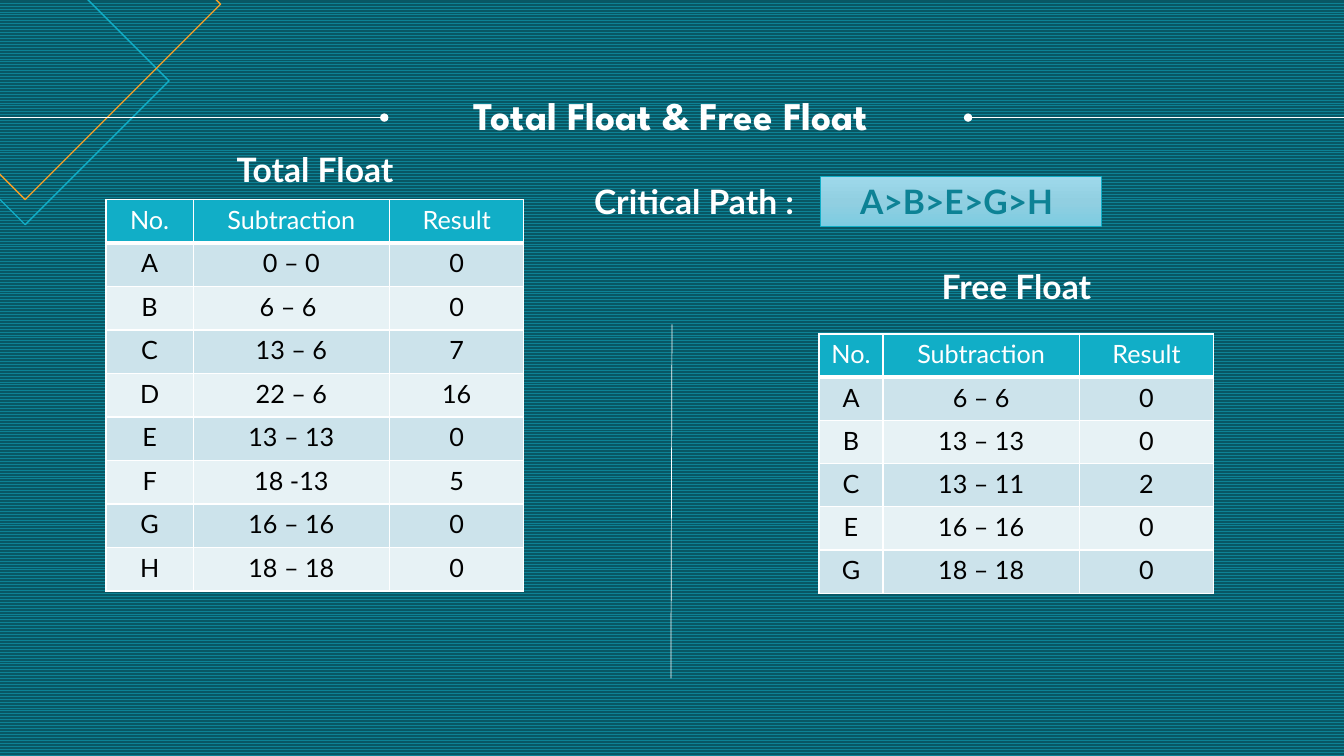
from copy import deepcopy
from dataclasses import dataclass

from lxml.etree import SubElement
from pptx import Presentation
from pptx.dml.color import RGBColor
from pptx.enum.dml import MSO_PATTERN
from pptx.enum.shapes import MSO_CONNECTOR, MSO_SHAPE
from pptx.enum.text import MSO_AUTO_SIZE, PP_ALIGN
from pptx.oxml.ns import qn
from pptx.util import Emu, Pt

EMU_PER_PX = 9525
COLORS = {
    "white": "FFFFFF", "black": "000000", "teal": "0D8295", "deep": "085764",
    "cyan": "11AEC7", "orange": "F59F26", "band": "CCE3EB", "pale": "E7F2F5",
    "top": "9ED9EB", "middle": "91CFE1", "bottom": "7CCCE1",
}


@dataclass(frozen=True)
class Diamond:
    left: int
    top: int
    side: int
    color: str


@dataclass(frozen=True)
class Line:
    start: tuple[int, int]
    end: tuple[int, int]
    oval: str = ""  # headEnd or tailEnd


@dataclass(frozen=True)
class Label:
    text: str
    left: int
    top: int
    color: str = "white"


@dataclass(frozen=True)
class FloatTable:
    left: int
    top: int
    height: int
    columns: tuple[int, ...]
    rows: tuple[tuple[str, str, str], ...]


HEADER = ("No.", "Subtraction", "Result")
DIAMONDS = [Diamond(-113, -60, 274, "cyan"), Diamond(-162, -182, 372, "orange")]
LINES = [
    Line((922, 112), (1280, 112), "headEnd"),
    Line((0, 112), (366, 112), "tailEnd"),
    Line((640, 309), (639, 646)),
]
LABELS = [
    Label("Total Float", 155, 137),
    Label("Free Float", 823, 249),
    Label("Critical Path :", 516, 168),
    Label("A>B>E>G>H", 766, 168, "teal"),
]
TABLES = [
    FloatTable(101, 190, 373, (83, 187, 128), (
        HEADER, ("A", "0 – 0", "0"), ("B", "6 – 6 ", "0"), ("C", "13 – 6", "7"),
        ("D", "22 – 6", "16"), ("E", "13 – 13", "0"), ("F", "18 -13", "5"),
        ("G", "16 – 16", "0"), ("H", "18 – 18", "0"))),
    FloatTable(780, 318, 247, (61, 187, 128), (
        HEADER, ("A", "6 – 6", "0"), ("B", "13 – 13", "0"), ("C", "13 – 11", "2"),
        ("E", "16 – 16", "0"), ("G", "18 – 18", "0"))),
]


def px(length: int) -> Emu:
    return Emu(length * EMU_PER_PX)


def rgb(name: str) -> RGBColor:
    return RGBColor.from_string(COLORS[name])


def write(frame, text: str, *, size: int, color: str, font: str = "Lato",
          bold: bool = False, spacing: float | None = None) -> None:
    para = frame.paragraphs[0]
    para.alignment = PP_ALIGN.CENTER
    para.line_spacing = spacing
    span = para.add_run()
    span.text = text
    span.font.name = font
    span.font.size = Pt(size)
    span.font.bold = bold
    span.font.color.rgb = rgb(color)


def add_frame(page, left: int, top: int, width: int, height: int):
    frame = page.shapes.add_textbox(px(left), px(top), px(width), px(height)).text_frame
    frame.word_wrap = True
    frame.auto_size = MSO_AUTO_SIZE.SHAPE_TO_FIT_TEXT
    return frame


def add_title(page, text: str) -> None:
    frame = add_frame(page, 23, 92, 1232, 40)
    frame.margin_left = frame.margin_right = frame.margin_top = frame.margin_bottom = 0
    write(frame, text, size=28, color="white", font="League Spartan", bold=True, spacing=0.9)


def add_label(page, label: Label) -> None:
    frame = add_frame(page, label.left, label.top, 290, 48)
    write(frame, label.text, size=24, color=label.color, bold=True)


def add_diamond(page, diamond: Diamond) -> None:
    shape = page.shapes.add_shape(MSO_SHAPE.DIAMOND, px(diamond.left), px(diamond.top),
                                  px(diamond.side), px(diamond.side))
    shape.shadow.inherit = False
    shape.fill.background()
    shape.line.color.rgb = rgb(diamond.color)
    shape.line.width = Pt(1)


def add_line(page, line: Line) -> None:
    connector = page.shapes.add_connector(
        MSO_CONNECTOR.STRAIGHT, *map(px, line.start), *map(px, line.end))
    connector.line.color.rgb = rgb("white")
    connector.line.width = Pt(0.5)
    if line.oval:
        SubElement(connector.line._get_or_add_ln(), qn(f"a:{line.oval}"), type="oval")
    SubElement(connector._element.spPr, qn("a:effectLst"))


def add_path_box(page) -> None:
    box = page.shapes.add_shape(MSO_SHAPE.RECTANGLE, px(781), px(168), px(268), px(48))
    box.shadow.inherit = False
    box.line.color.rgb = rgb("cyan")
    box.line.width = Pt(0.5)
    box.fill.gradient()
    box.fill.gradient_angle = 270
    stop_list = box._element.spPr.find(f".//{qn('a:gsLst')}")
    stop_list.insert(1, deepcopy(stop_list[0]))
    names = ("top", "middle", "bottom")
    for stop, name, position in zip(box.fill.gradient_stops, names, (0, 0.5, 1)):
        stop.color.rgb = rgb(name)
        stop.position = position


def add_border(cell, side: str, width: int) -> None:
    border = SubElement(cell._tc.get_or_add_tcPr(), qn(f"a:{side}"), w=str(Pt(width)))
    fill = SubElement(border, qn("a:solidFill"))
    SubElement(fill, qn("a:srgbClr"), val=COLORS["white"])


def add_float_table(page, spec: FloatTable) -> None:
    table = page.shapes.add_table(
        len(spec.rows), len(spec.columns), px(spec.left), px(spec.top),
        px(sum(spec.columns)), px(spec.height)).table
    for column, width in zip(table.columns, spec.columns):
        column.width = px(width)
    for i, texts in enumerate(spec.rows):
        fill = "cyan" if i == 0 else ("pale", "band")[i % 2]
        for j, text in enumerate(texts):
            cell = table.cell(i, j)
            # The rule under the header is thicker than the rest
            add_border(cell, "lnL", 1)
            add_border(cell, "lnR", 1)
            add_border(cell, "lnT", 3 if i == 1 else 1)
            add_border(cell, "lnB", 3 if i == 0 else 1)
            cell.fill.solid()
            cell.fill.fore_color.rgb = rgb(fill)
            write(cell.text_frame, text, size=18, color="black" if i else "white")


def main() -> None:
    deck = Presentation()
    deck.slide_width, deck.slide_height = px(1280), px(720)
    page = deck.slides.add_slide(deck.slide_layouts[6])

    # Background
    background = page.background.fill
    background.patterned()
    background.pattern = MSO_PATTERN.ZIG_ZAG
    background.fore_color.rgb = rgb("teal")
    background.back_color.rgb = rgb("deep")

    # Corner ornament, title and rules
    for diamond in DIAMONDS:
        add_diamond(page, diamond)
    add_title(page, "Total Float & Free Float")
    for line in LINES:
        add_line(page, line)

    # Tables, critical path and headings
    for spec in TABLES:
        add_float_table(page, spec)
    add_path_box(page)
    for label in LABELS:
        add_label(page, label)

    deck.save("out.pptx")


if __name__ == "__main__":
    main()
